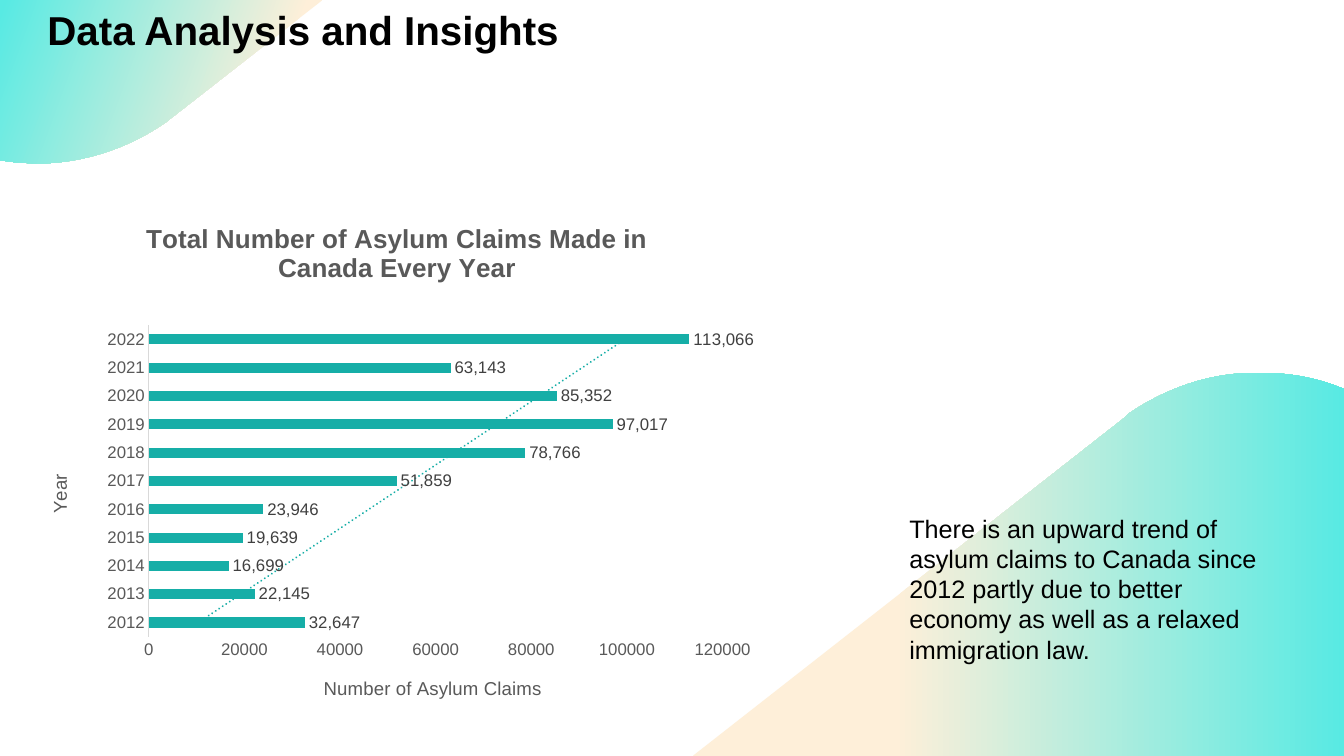
"""Build a slide with a bar chart of yearly asylum claims in Canada."""
from lxml import etree
from pptx import Presentation
from pptx.chart.data import CategoryChartData
from pptx.dml.color import RGBColor
from pptx.enum.chart import XL_CHART_TYPE, XL_LABEL_POSITION, XL_TICK_MARK
from pptx.enum.text import MSO_ANCHOR, PP_ALIGN
from pptx.oxml import parse_xml
from pptx.oxml.ns import nsdecls, qn
from pptx.util import Inches, Pt

BAR_CLUSTERED = XL_CHART_TYPE.BAR_CLUSTERED
OUTSIDE_END = XL_LABEL_POSITION.OUTSIDE_END
NO_TICKS = XL_TICK_MARK.NONE
TOP = MSO_ANCHOR.TOP
LEFT = PP_ALIGN.LEFT

BLACK = RGBColor(0x00, 0x00, 0x00)
DARK_GRAY = RGBColor(0x40, 0x40, 0x40)
GRAY = RGBColor(0x59, 0x59, 0x59)
LIGHT_GRAY = RGBColor(0xD9, 0xD9, 0xD9)
TEAL = RGBColor(0x16, 0xAE, 0xA7)
AQUA = RGBColor(0x58, 0xEA, 0xE3)
PEACH = RGBColor(0xFE, 0xEF, 0xD9)

FONT = "Arial"
CURVE_STEPS = 16
FIRST_YEAR = 2012
CLAIMS = (32647, 22145, 16699, 19639, 23946, 51859,
          78766, 97017, 85352, 63143, 113066)
INSIGHT = ("There is an upward trend of asylum claims to Canada since 2012 "
           "partly due to better economy as well as a relaxed immigration law.")

TOP_WAVE = [(0, 0), (3.2, 0), (1.7, 1.17), (1.65, 1.21),
            (1.29, 1.46, 0.88, 1.6, 0.46, 1.62),
            (0.42, 1.62, 0.37, 1.62, 0.33, 1.62),
            (0.27, 1.62, 0.21, 1.61, 0.15, 1.61), (0, 1.59)]
BOTTOM_WAVE = [(12.53, 3.7), (12.77, 3.7, 13, 3.74, 13.23, 3.82),
               (13.33, 3.86), (13.33, 7.5), (6.87, 7.5), (11.16, 4.14),
               (11.2, 4.1), (11.57, 3.85, 11.98, 3.71, 12.4, 3.7),
               (12.44, 3.7, 12.48, 3.69, 12.53, 3.7)]


def set_format(target, values):
    """Set every attribute in values on the target."""
    for name, value in values.items():
        setattr(target, name, value)


def set_font(font, size, color, bold=False):
    """Give a font its typeface, size, weight and colour."""
    set_format(font, {"name": FONT, "size": Pt(size), "bold": bold})
    font.color.rgb = color


def outline_points(segments):
    """Turn line ends and cubic curves into a list of points."""
    points = []
    for segment in segments:
        if len(segment) == 2:
            points.append(segment)
            continue
        controls = [points[-1], segment[:2], segment[2:4], segment[4:]]
        for step in range(1, CURVE_STEPS + 1):
            t = step / CURVE_STEPS
            weights = ((1 - t) ** 3, 3 * t * (1 - t) ** 2,
                       3 * t ** 2 * (1 - t), t ** 3)
            points.append(tuple(
                sum(weight * point[axis] for weight, point in zip(weights, controls))
                for axis in (0, 1)))
    return [(Inches(x), Inches(y)) for x, y in points]


def add_wave(slide, segments, stops, angle):
    """Add a borderless gradient wave."""
    points = outline_points(segments)
    builder = slide.shapes.build_freeform(*points[0])
    builder.add_line_segments(points[1:])
    wave = builder.convert_to_shape()
    wave.shadow.inherit = False
    wave.line.fill.background()
    wave.fill.gradient()
    wave.fill.gradient_angle = angle
    for stop, (position, color) in zip(wave.fill.gradient_stops, stops):
        stop.position = position
        stop.color.rgb = color
    return wave


def write_text(shape, text, size, bold=False, spacing=1.0):
    """Write one left-aligned paragraph anchored at the top."""
    frame = shape.text_frame
    set_format(frame, {"text": text, "word_wrap": True, "vertical_anchor": TOP})
    paragraph = frame.paragraphs[0]
    set_format(paragraph, {"alignment": LEFT, "line_spacing": spacing})
    set_font(paragraph.runs[0].font, size, BLACK, bold)


def place_part(element, index, values):
    """Give a chart part a manual layout as fractions of the chart."""
    for layout in element.findall(qn("c:layout")):
        element.remove(layout)
    layout = etree.Element(qn("c:layout"))
    manual = etree.SubElement(layout, qn("c:manualLayout"))
    for name, value in values.items():
        etree.SubElement(manual, qn(f"c:{name}")).set("val", str(value))
    element.insert(index, layout)


def write_chart_title(title, text, size, x, y, bold=False):
    """Write a chart or axis title at a fixed place."""
    title.text_frame.text = text
    set_font(title.text_frame.paragraphs[0].runs[0].font, size, GRAY, bold)
    place_part(title._element, 1, {"xMode": "edge", "yMode": "edge", "x": x, "y": y})


def format_axis(axis, title, x, y):
    """Format an axis without ticks or gridlines and write its title."""
    set_format(axis, {"major_tick_mark": NO_TICKS, "minor_tick_mark": NO_TICKS,
                      "has_major_gridlines": False})
    set_font(axis.tick_labels.font, 12, GRAY)
    write_chart_title(axis.axis_title, title, 13.3, x, y)


def add_trendline(series):
    """Add a dotted linear trend line to a series."""
    trendline = parse_xml(
        f'<c:trendline {nsdecls("c", "a")}><c:spPr><a:ln w="{Pt(1.5)}" cap="rnd">'
        f'<a:solidFill><a:srgbClr val="{TEAL}"/></a:solidFill>'
        '<a:prstDash val="sysDot"/></a:ln></c:spPr>'
        '<c:trendlineType val="linear"/><c:dispRSqr val="0"/>'
        '<c:dispEq val="0"/></c:trendline>')
    series._element.find(qn("c:cat")).addprevious(trendline)


def add_claims_chart(slide):
    """Add the bar chart of claims by year."""
    data = CategoryChartData()
    data.categories = [str(FIRST_YEAR + offset) for offset in range(len(CLAIMS))]
    data.add_series("Series 1", CLAIMS)
    chart = slide.shapes.add_chart(BAR_CLUSTERED, Inches(0.22), Inches(1.94),
                                   Inches(7.39), Inches(5.15), data).chart
    set_font(chart.font, 10, BLACK)
    chart.has_legend = False
    write_chart_title(chart.chart_title,
                      "Total Number of Asylum Claims Made in Canada Every Year",
                      18.6, 0.16, 0.04, True)
    format_axis(chart.category_axis, "Year", 0.03, 0.53)
    format_axis(chart.value_axis, "Number of Asylum Claims", 0.4, 0.92)
    chart.category_axis.format.line.color.rgb = LIGHT_GRAY
    chart.category_axis.format.line.width = Pt(0.75)
    chart.value_axis.format.line.fill.background()
    set_format(chart.value_axis, {"minimum_scale": 0, "maximum_scale": 120000,
                                  "major_unit": 20000})
    chart.value_axis.tick_labels.number_format = "General"
    chart.value_axis.tick_labels.number_format_is_linked = False
    plot = chart.plots[0]
    set_format(plot, {"gap_width": 182, "vary_by_categories": False})
    series = plot.series[0]
    series.format.fill.solid()
    series.format.fill.fore_color.rgb = TEAL
    labels = series.data_labels
    set_format(labels, {"show_value": True, "number_format": "#,##0",
                        "number_format_is_linked": False, "position": OUTSIDE_END})
    set_font(labels.font, 12, DARK_GRAY)
    add_trendline(series)
    place_part(chart._chartSpace.find(f".//{qn('c:plotArea')}"), 0,
               {"layoutTarget": "inner", "xMode": "edge", "yMode": "edge",
                "x": 0.17, "y": 0.25, "w": 0.77, "h": 0.6})


def main():
    """Build and save the slide."""
    presentation = Presentation()
    set_format(presentation, {"slide_width": Inches(13.33), "slide_height": Inches(7.5)})
    slide = presentation.slides.add_slide(presentation.slide_layouts[5])
    title = slide.shapes.title
    set_format(title, {"left": Inches(0.37), "top": Inches(0.11),
                       "width": Inches(8.69), "height": Inches(0.88)})
    write_text(title, "Data Analysis and Insights", 28.8, True, 0.9)
    title.text_frame.margin_top = 0
    top_wave = add_wave(slide, TOP_WAVE, [(0.19, PEACH), (0.99, AQUA)], 160)
    title._element.addprevious(top_wave._element)
    add_wave(slide, BOTTOM_WAVE, [(0.31, PEACH), (1, AQUA)], 0)
    add_claims_chart(slide)
    insight = slide.shapes.add_textbox(Inches(8.92), Inches(5.04),
                                       Inches(3.76), Inches(1.62))
    write_text(insight, INSIGHT, 18)
    presentation.save("out.pptx")


if __name__ == "__main__":
    main()
